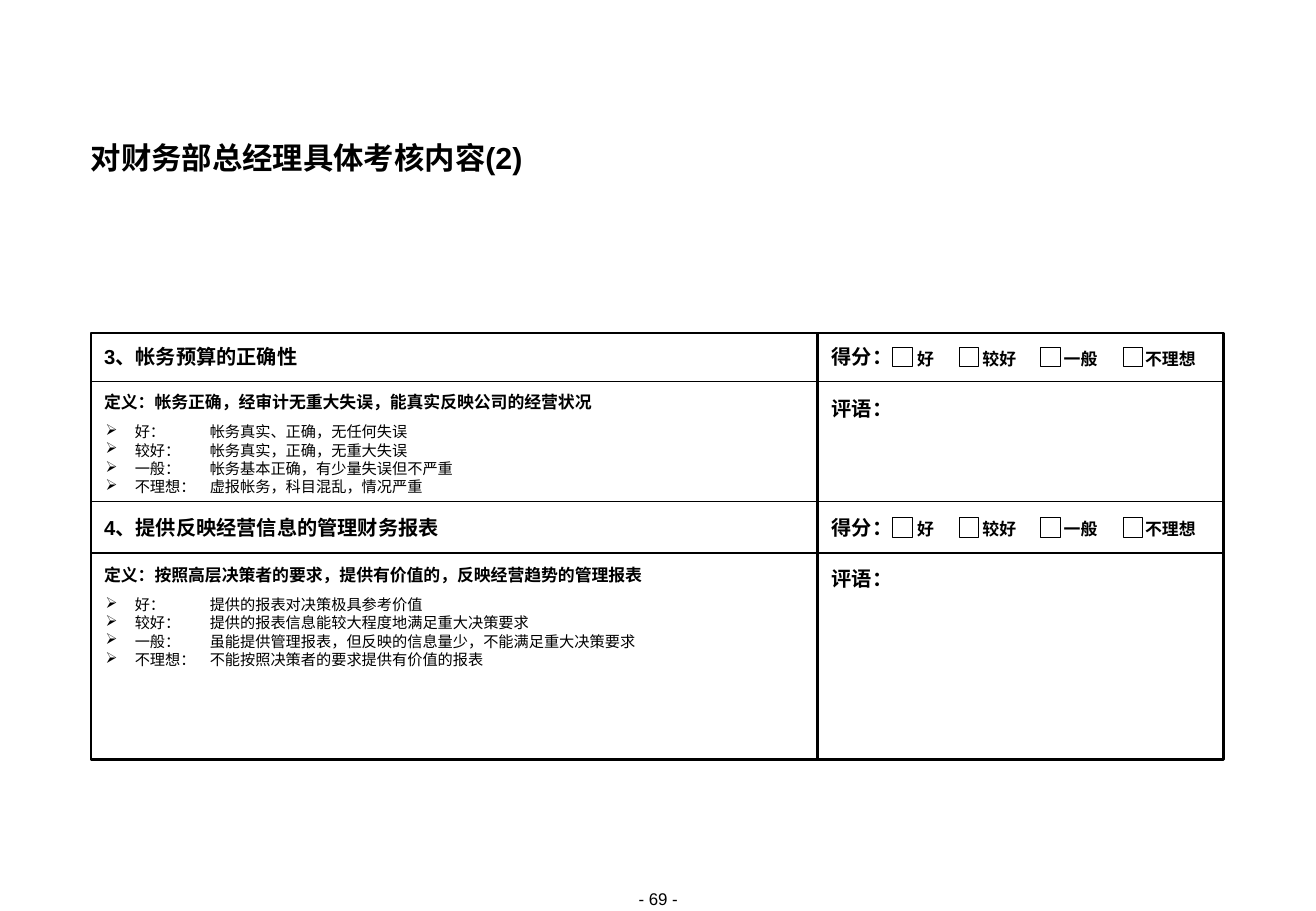
"""Builds the finance manager appraisal slide with two rated criteria."""
from dataclasses import dataclass

from lxml import etree
from pptx import Presentation
from pptx.dml.color import RGBColor
from pptx.enum.shapes import MSO_CONNECTOR, MSO_SHAPE
from pptx.enum.text import MSO_ANCHOR, MSO_AUTO_SIZE, PP_ALIGN
from pptx.oxml.ns import qn
from pptx.util import Cm, Pt

LEFT, MID = PP_ALIGN.LEFT, PP_ALIGN.CENTER
TOP, CENTRE = MSO_ANCHOR.TOP, MSO_ANCHOR.MIDDLE
FIT = MSO_AUTO_SIZE.SHAPE_TO_FIT_TEXT
RECT, STRAIGHT = MSO_SHAPE.RECTANGLE, MSO_CONNECTOR.STRAIGHT


@dataclass(frozen=True)
class Theme:
    font: str = "Arial"
    ink: RGBColor = RGBColor(0, 0, 0)
    paper: RGBColor = RGBColor(255, 255, 255)
    title: int = 18
    head: int = 12
    body: int = 10
    small: int = 9


theme = Theme()
deck = Presentation()
deck.slide_width, deck.slide_height = Cm(27.53), Cm(19.05)
slide = deck.slides.add_slide(deck.slide_layouts[6])
shapes = slide.shapes


def write(text, x, y, w, h, size=theme.body, bold=True, align=LEFT,
          anchor=TOP, wrap=True, lead=None, bullet=None, tab=0):
    frame = shapes.add_textbox(Cm(x), Cm(y), Cm(w), Cm(h)).text_frame
    frame.margin_left = frame.margin_right = 0
    frame.margin_top = frame.margin_bottom = 0
    frame.word_wrap, frame.auto_size = wrap, FIT
    frame.vertical_anchor = anchor
    for i, line in enumerate(text.split("\n")):
        para = frame.add_paragraph() if i else frame.paragraphs[0]
        para.alignment = align
        if lead:
            para.line_spacing = lead
        if bullet:
            props = para._p.get_or_add_pPr()
            props.set("marL", str(Cm(0.64)))
            props.set("indent", str(Cm(-0.61)))
            etree.SubElement(props, qn("a:buChar")).set("char", bullet)
            tabs = etree.SubElement(props, qn("a:tabLst"))
            stop = etree.SubElement(tabs, qn("a:tab"))
            stop.set("pos", str(Cm(tab)))
            stop.set("algn", "l")
            para.space_before = Pt(1.1 if i else 0)
        run = para.add_run()
        run.text = line
        run.font.name, run.font.size = theme.font, Pt(size)
        run.font.bold, run.font.color.rgb = bold, theme.ink


left, split, right = 1.9, 17.1, 25.6
top, end = 6.96, 15.88
text_x, score_x = 2.18, 17.4

write("- 69 -", 12.32, 18.59, 2.9, 0.43, bold=False, align=MID)
write("对财务部总经理具体考核内容(2)", left, 2.97, 23.7, 0.71,
      size=theme.title, lead=Pt(20))

border = shapes.add_shape(RECT, Cm(left), Cm(top), Cm(right - left), Cm(end - top))
border.shadow.inherit = False
border.fill.background()
border.line.color.rgb, border.line.width = theme.ink, Pt(1.5)

rules = [(split, top, split, end, 1.5)]
rules += [(left, y, right, y, 1) for y in (7.98, 10.49, 11.56)]
for x1, y1, x2, y2, width in rules:
    rule = shapes.add_connector(STRAIGHT, Cm(x1), Cm(y1), Cm(x2), Cm(y2))
    rule.line.color.rgb, rule.line.width = theme.ink, Pt(width)
    etree.SubElement(rule._element.spPr, qn("a:effectLst"))

grades = [("好", 18.67, 19.18, 0.36), ("较好", 20.07, 20.55, 0.71),
          ("一般", 21.77, 22.25, 0.71), ("不理想", 23.5, 23.95, 1.07)]

topics = [
    (7.21, 8.2, "3、帐务预算的正确性",
     "定义：帐务正确，经审计无重大失误，能真实反映公司的经营状况",
     ["帐务真实、正确，无任何失误",
      "帐务真实，正确，无重大失误",
      "帐务基本正确，有少量失误但不严重",
      "虚报帐务，科目混乱，情况严重"]),
    (10.77, 11.81, "4、提供反映经营信息的管理财务报表",
     "定义：按照高层决策者的要求，提供有价值的，反映经营趋势的管理报表",
     ["提供的报表对决策极具参考价值",
      "提供的报表信息能较大程度地满足重大决策要求",
      "虽能提供管理报表，但反映的信息量少，不能满足重大决策要求",
      "不能按照决策者的要求提供有价值的报表"]),
]

for head_y, body_y, head, meaning, levels in topics:
    write(head, text_x, head_y, 9.83, 0.51, size=theme.head)
    write(meaning, text_x, body_y, 14.58, 0.43)
    lines = [f"{grade[0]}：\t{level}" for grade, level in zip(grades, levels)]
    write("\n".join(lines), text_x, body_y + 0.68, 14.63, 1.5, size=theme.small,
          bold=False, lead=0.9, bullet="➢", tab=2.21)
    write("得分：", score_x, head_y, 1.4, 0.51, size=theme.head)
    write("评语：", score_x, head_y + 1.1, 1.27, 0.48, size=theme.head,
          align=MID, anchor=CENTRE, wrap=False, lead=Pt(14))
    for grade, box_x, label_x, width in grades:
        box = shapes.add_shape(RECT, Cm(box_x), Cm(head_y + 0.05), Cm(0.41), Cm(0.41))
        box.shadow.inherit = False
        box.fill.solid()
        box.fill.fore_color.rgb = theme.paper
        box.line.color.rgb, box.line.width = theme.ink, Pt(0.5)
        write(grade, label_x, head_y + 0.02, width, 0.48, align=MID,
              anchor=CENTRE, wrap=False, lead=Pt(14))

deck.save("out.pptx")
